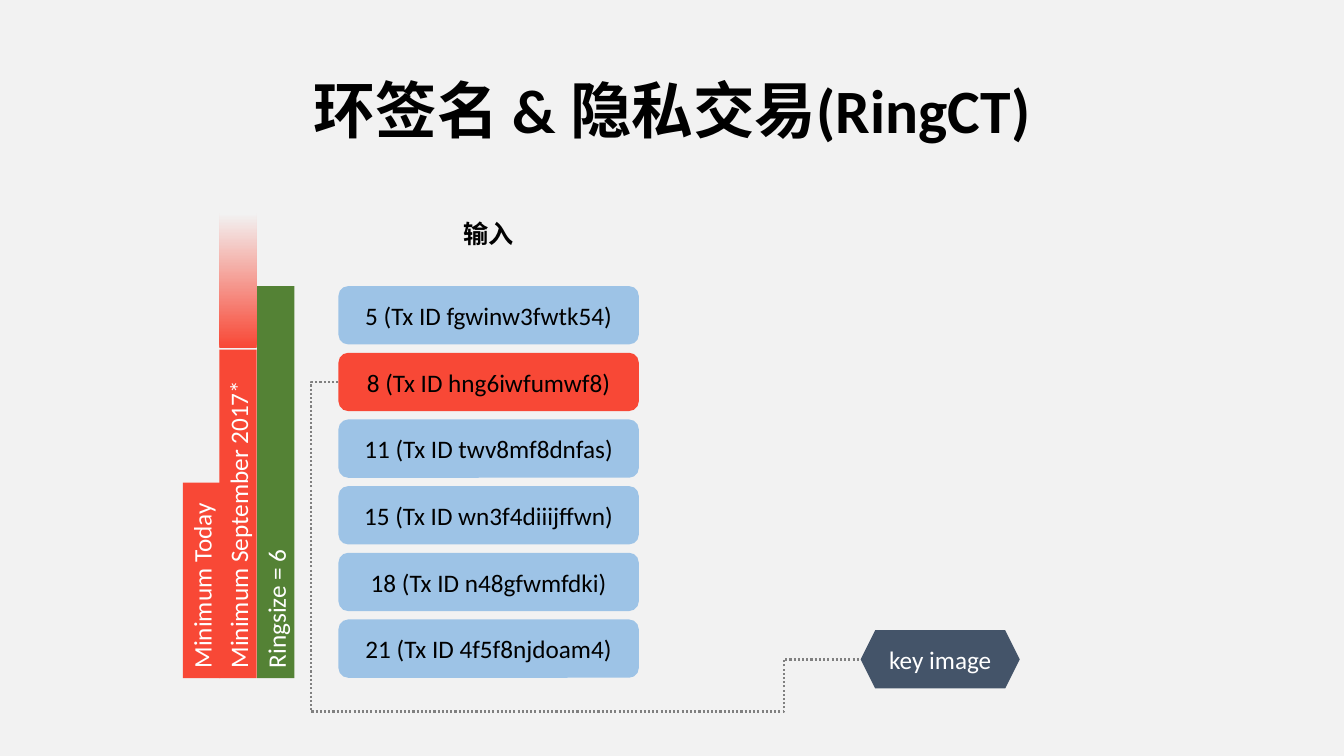
from lxml import etree
from pptx import Presentation
from pptx.dml.color import RGBColor
from pptx.enum import dml, shapes, text
from pptx.oxml.ns import qn
from pptx.util import Cm, Pt

RED, BLUE, GREEN, SLATE = "F84836", "9DC3E6", "548235", "445469"
PALE, GREY, BLACK, WHITE = "F2F2F2", "808080", "000000", "FFFFFF"
KIND = shapes.MSO_SHAPE
MID = text.PP_ALIGN.CENTER


def write(shape, words, size, tint, align, bold=False):
    frame = shape.text_frame
    frame.text = words
    para = frame.paragraphs[0]
    para.alignment = align
    font = para.runs[0].font
    font.name, font.size, font.bold = "Calibri", Pt(size), bold
    font.color.rgb = RGBColor.from_string(tint)


def block(kind, left, top, width, height, fill):
    """Add a plain shape without outline or shadow; sizes are in cm."""
    shape = slide.shapes.add_shape(kind, Cm(left), Cm(top), Cm(width), Cm(height))
    shape.shadow.inherit = False
    shape.line.fill.background()
    shape.fill.solid()
    shape.fill.fore_color.rgb = RGBColor.from_string(fill)
    shape.text_frame.vertical_anchor = text.MSO_ANCHOR.MIDDLE
    return shape


deck = Presentation()
deck.slide_width, deck.slide_height = Cm(33.87), Cm(19.05)
slide = deck.slides.add_slide(deck.slide_layouts[5])
slide.background.fill.solid()
slide.background.fill.fore_color.rgb = RGBColor.from_string(PALE)

title = slide.shapes.title
title.left, title.top, title.width, title.height = Cm(2.34), Cm(1.02), Cm(29.21), Cm(3.68)
title.text_frame.vertical_anchor = text.MSO_ANCHOR.MIDDLE
write(title, "环签名 & 隐私交易(RingCT)", 44, BLACK, MID, True)
title.text_frame.paragraphs[0].line_spacing = 0.9

# Upright bars: text, centre, foot, length, fill
thick, foot = 0.94, 17.09
bars = [
    ("Ringsize = 6", 6.95, foot, 9.88, GREEN),
    ("Minimum September 2017*", 6, foot, 8.28, RED),
    ("Minimum Today", 5.08, foot, 4.93, RED),
    ("", 6, 8.77, 3.4, RED),
]
for words, mid, low, size, fill in bars:
    bar = block(KIND.RECTANGLE, mid - size / 2, low - size / 2 - thick / 2, size, thick, fill)
    bar.rotation = 270
    if words:
        write(bar, words, 18, WHITE, text.PP_ALIGN.LEFT)
    else:
        bar.fill.gradient()
        bar.fill.gradient_angle = 0
        for stop, tint, place in zip(bar.fill.gradient_stops, (RED, PALE), (0, 1)):
            stop.color.rgb = RGBColor.from_string(tint)
            stop.position = place

# Ring members
label = slide.shapes.add_textbox(Cm(11.43), Cm(5.38), Cm(1.78), Cm(1.02))
label.text_frame.word_wrap = False
write(label, "输入", 18, BLACK, MID, True)

left, top, width, height, pitch = 8.53, 7.21, 7.57, 1.47, 1.68
inputs = [
    "5 (Tx ID fgwinw3fwtk54)",
    "8 (Tx ID hng6iwfumwf8)",
    "11 (Tx ID twv8mf8dnfas)",
    "15 (Tx ID wn3f4diiijffwn)",
    "18 (Tx ID n48gfwmfdki)",
    "21 (Tx ID 4f5f8njdoam4)",
]
spent = 1
for row, words in enumerate(inputs):
    fill = RED if row == spent else BLUE
    box = block(KIND.ROUNDED_RECTANGLE, left, top + row * pitch, width, height, fill)
    write(box, words, 18, BLACK, MID)

key = block(KIND.HEXAGON, 21.69, 15.88, 4.01, height, SLATE)
write(key, "key image", 18, WHITE, MID)

# Dotted path from the spent input to the key image
turn = (7.85, 17.93)
start = (left, top + spent * pitch + height / 2)
links = [
    (turn, (21.69, 16.62), "bentConnector3", 86000),
    (start, turn, "bentConnector2", None),
]
for tail, head, form, bend in links:
    ends = [Cm(n) for n in tail + head]
    link = slide.shapes.add_connector(shapes.MSO_CONNECTOR.ELBOW, *ends)
    link.line.color.rgb = RGBColor.from_string(GREY)
    link.line.width = Pt(1.5)
    link.line.dash_style = dml.MSO_LINE.ROUND_DOT
    props = link._element.spPr
    etree.SubElement(props, qn("a:effectLst"))
    geom = props.find(qn("a:prstGeom"))
    geom.set("prst", form)
    if bend:
        guide = etree.SubElement(geom.find(qn("a:avLst")), qn("a:gd"))
        guide.set("name", "adj1")
        guide.set("fmla", f"val {bend}")

deck.save("out.pptx")
